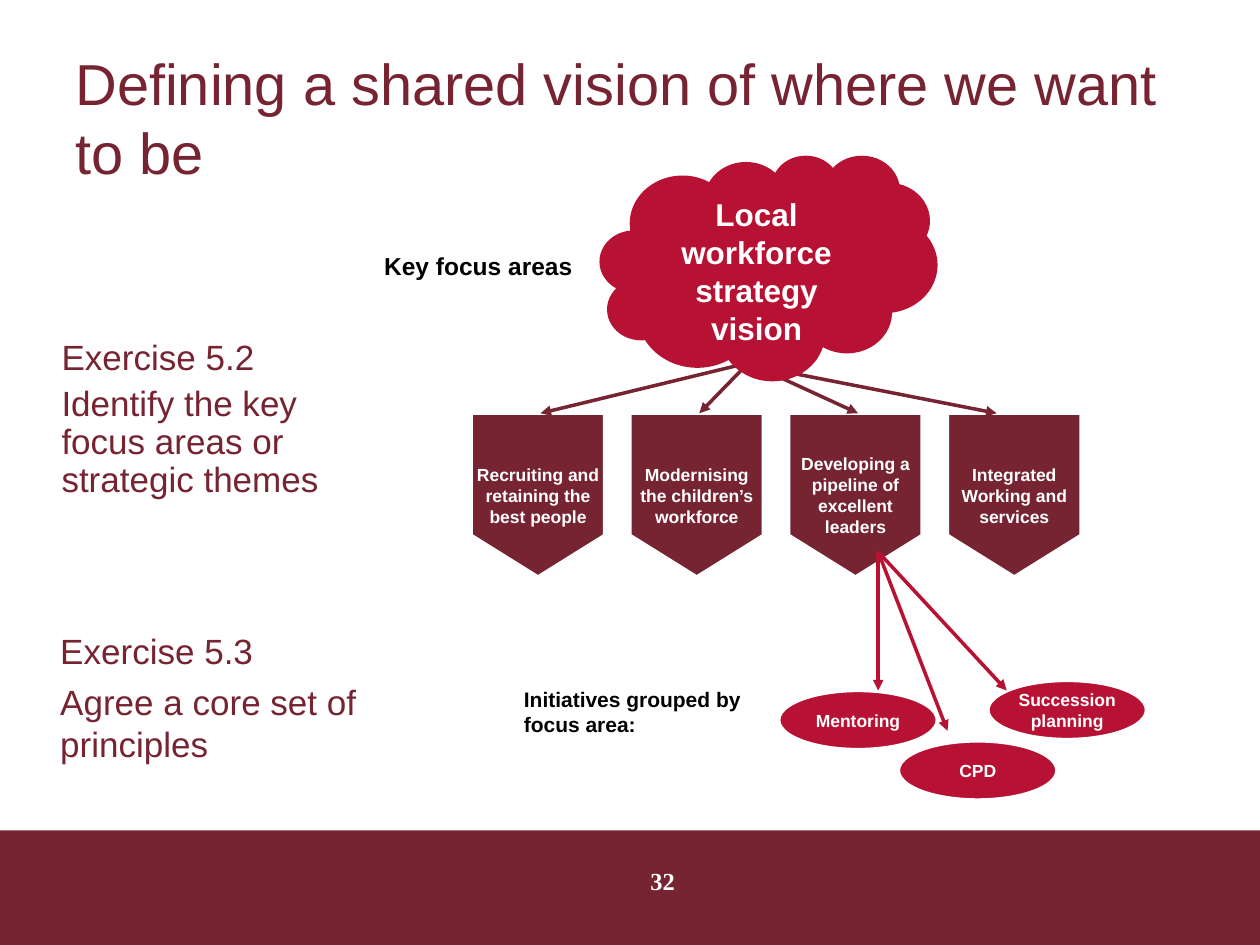
from typing import NamedTuple

from lxml import etree
from pptx import Presentation
from pptx.dml.color import RGBColor
from pptx.enum.shapes import MSO_CONNECTOR, MSO_SHAPE as Preset
from pptx.enum.text import MSO_ANCHOR as Anchor, PP_ALIGN as Align
from pptx.oxml.ns import qn
from pptx.util import Inches, Pt

MAROON = RGBColor(0x77, 0x24, 0x32)
CRIMSON = RGBColor(0xB7, 0x12, 0x34)
WHITE = RGBColor(0xFF, 0xFF, 0xFF)
BLACK = RGBColor(0x00, 0x00, 0x00)


class Style(NamedTuple):
    size: float
    color: RGBColor
    bold: bool = False
    font: str = "Arial"
    align: Align = Align.LEFT
    anchor: Anchor = Anchor.TOP
    wrap: bool = True
    indent: float = 0
    line_spacing: float | None = None
    gap: float = 0


class Box(NamedTuple):
    left: float
    top: float
    width: float
    height: float


class Label(NamedTuple):
    box: Box
    lines: list[str]
    style: Style


class Fan(NamedTuple):
    start: tuple[float, float]
    ends: list[tuple[float, float]]
    color: RGBColor


TITLE = Style(33, MAROON, anchor=Anchor.MIDDLE)
EXERCISE = Style(20, MAROON, gap=5)
NODE = Style(10, WHITE, True, align=Align.CENTER, anchor=Anchor.MIDDLE, wrap=False)
VISION = Style(18, WHITE, True, align=Align.CENTER)
PAGE = Style(14, WHITE, True, "Times New Roman", Align.CENTER)

# Focus areas: equal steps across the row
FOCUS_LEFT, FOCUS_TOP, FOCUS_STEP = 3.74, 3.28, 1.26
FOCUS_WIDTH, FOCUS_SIDE, FOCUS_HEIGHT = 1.06, 0.97, 1.3
FOCUS_AREAS = [
    ["Recruiting and", "retaining the", "best people"],
    ["Modernising", "the children’s", "workforce"],
    ["Developing a", "pipeline of", "excellent", "leaders"],
    ["Integrated", "Working and", "services"],
]

INITIATIVES = [
    Label(Box(6.18, 5.48, 1.26, 0.47), ["Mentoring"], NODE),
    Label(Box(7.84, 5.4, 1.26, 0.47), ["Succession", "planning"], NODE),
    Label(Box(7.13, 5.88, 1.26, 0.47), ["CPD"], NODE),
]

VISION_FANS = [
    Fan((5.94, 2.88), [(4.29, 3.28), (5.55, 3.28), (6.81, 3.28)], MAROON),
    Fan((5.87, 2.88), [(7.91, 3.28)], MAROON),
]
INITIATIVE_FAN = Fan((6.97, 4.38), [(6.97, 5.48), (7.52, 5.8), (7.99, 5.48)], CRIMSON)

LABELS = [
    Label(Box(0.5, 0.3, 9, 1.25),
          ["Defining a shared vision of where we want to be"], TITLE),
    Label(Box(4.06, 5.4, 1.97, 0.5),
          ["Initiatives grouped by focus area:"], Style(12, BLACK, True)),
    Label(Box(2.95, 1.94, 1.81, 0.34), ["Key focus areas"], Style(14, BLACK, True)),
    Label(Box(0.2, 2.65, 2.44, 1.57),
          ["Exercise 5.2", "Identify the key focus areas or strategic themes"],
          EXERCISE._replace(indent=0.19, line_spacing=0.9)),
    Label(Box(0, 4.95, 3.67, 1.17),
          ["Exercise 5.3", "Agree a core set of principles"],
          EXERCISE._replace(indent=0.38)),
    Label(Box(4.84, 6.82, 0.84, 0.52), ["32"], PAGE),
]


def set_all(target, values: dict) -> None:
    for name, value in values.items():
        setattr(target, name, value)


def write(shape, lines: list[str], style: Style) -> None:
    frame = shape.text_frame
    set_all(frame, {"word_wrap": style.wrap, "vertical_anchor": style.anchor})
    for number, line in enumerate(lines):
        paragraph = frame.add_paragraph() if number else frame.paragraphs[0]
        paragraph.text = line
        set_all(paragraph, {
            "alignment": style.align,
            "line_spacing": style.line_spacing,
            "space_before": Pt(style.gap if number else 0),
        })
        if style.indent:
            paragraph._p.get_or_add_pPr().set("marL", str(Inches(style.indent)))
        set_all(paragraph.font, {
            "name": style.font, "size": Pt(style.size), "bold": style.bold,
        })
        paragraph.font.color.rgb = style.color


def paint(shape, fill: RGBColor, outlined: bool) -> None:
    shape.shadow.inherit = False
    shape.fill.solid()
    shape.fill.fore_color.rgb = fill
    if outlined:
        shape.line.color.rgb = WHITE
        shape.line.width = Pt(2)
    else:
        shape.line.fill.background()


def add_preset(slide, preset: Preset, box: Box, fill: RGBColor, outlined: bool = False):
    shape = slide.shapes.add_shape(preset, *map(Inches, box))
    paint(shape, fill, outlined)
    return shape


def add_label(slide, label: Label) -> None:
    write(slide.shapes.add_textbox(*map(Inches, label.box)), label.lines, label.style)


def add_focus_area(slide, left: float, lines: list[str]) -> None:
    right, shoulder = left + FOCUS_WIDTH, FOCUS_TOP + FOCUS_SIDE
    corners = [
        (right, FOCUS_TOP), (right, shoulder),
        (left + FOCUS_WIDTH / 2, FOCUS_TOP + FOCUS_HEIGHT), (left, shoulder),
    ]
    builder = slide.shapes.build_freeform(Inches(left), Inches(FOCUS_TOP))
    builder.add_line_segments([(Inches(x), Inches(y)) for x, y in corners], close=True)
    pennant = builder.convert_to_shape()
    paint(pennant, MAROON, outlined=True)
    write(pennant, lines, NODE)
    set_all(pennant.text_frame, {
        "margin_left": Inches(0.05), "margin_right": Inches(0.05),
    })


def add_fan(slide, fan: Fan) -> None:
    for end in fan.ends:
        arrow = slide.shapes.add_connector(
            MSO_CONNECTOR.STRAIGHT, *map(Inches, fan.start + end))
        arrow.line.color.rgb = fan.color
        arrow.line.width = Pt(2)
        etree.SubElement(arrow.line._get_or_add_ln(), qn("a:tailEnd"), type="triangle")
        etree.SubElement(arrow._element.spPr, qn("a:effectLst"))


def main() -> None:
    deck = Presentation()
    set_all(deck, {"slide_width": Inches(10), "slide_height": Inches(7.5)})
    slide = deck.slides.add_slide(deck.slide_layouts[6])

    # Footer band
    add_preset(slide, Preset.RECTANGLE, Box(0, 6.59, 10, 0.91), MAROON)

    # Focus areas and the arrows leading to them
    for column, lines in enumerate(FOCUS_AREAS):
        add_focus_area(slide, FOCUS_LEFT + column * FOCUS_STEP, lines)
    for fan in VISION_FANS:
        add_fan(slide, fan)

    # Initiatives under one focus area
    for initiative in INITIATIVES:
        oval = add_preset(slide, Preset.OVAL, initiative.box, CRIMSON, outlined=True)
        write(oval, initiative.lines, initiative.style)
    add_fan(slide, INITIATIVE_FAN)

    # Title, captions, exercises and page number
    for label in LABELS:
        add_label(slide, label)

    # Vision cloud
    cloud = add_preset(slide, Preset.CLOUD, Box(4.76, 1.23, 2.68, 1.79), CRIMSON)
    write(cloud, ["Local workforce strategy", "vision"], VISION)

    deck.save("out.pptx")


if __name__ == "__main__":
    main()
